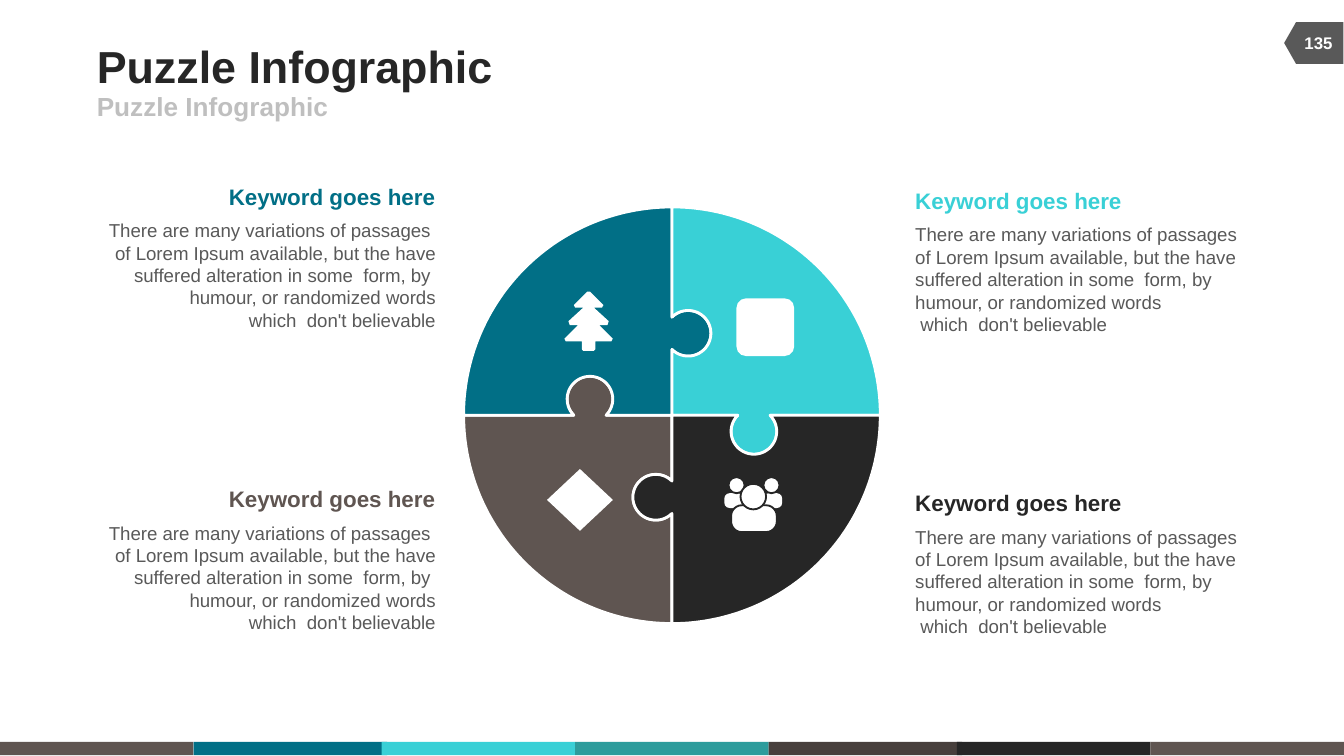
from copy import deepcopy
from dataclasses import dataclass
from math import atan2, cos, pi, sin, sqrt

from lxml.etree import SubElement
from pptx import Presentation
from pptx.dml.color import RGBColor
from pptx.enum.shapes import MSO_SHAPE as Shape
from pptx.enum.text import MSO_ANCHOR as Anchor, MSO_AUTO_SIZE as AutoSize, PP_ALIGN as Align
from pptx.oxml.ns import qn
from pptx.util import Inches, Pt

Point = tuple[float, float]


@dataclass(frozen=True)
class Theme:
    font: str = "Arial"
    white: str = "FFFFFF"
    ink: str = "262626"
    grey: str = "595959"
    pale: str = "BFBFBF"
    brown: str = "5F5551"
    teal: str = "016F86"
    cyan: str = "39D0D6"
    green: str = "2D9C9C"
    umber: str = "473F3C"
    title: float = 24
    subtitle: float = 14
    keyword: float = 12
    body: float = 10
    number: float = 9


@dataclass(frozen=True)
class Box:
    left: float
    top: float
    width: float
    height: float

    def lengths(self) -> list[int]:
        return [Inches(v) for v in (self.left, self.top, self.width, self.height)]


@dataclass(frozen=True)
class Piece:
    color: str
    turns: int  # quarter turns clockwise from the upper left
    text_left: float
    text_top: float
    align: Align


THEME = Theme()
CENTER = (5.0, 3.09)
RADIUS = 1.55
KNOB_RADIUS, KNOB_OUT, KNOB_UP = 0.17, 0.12, 0.61

# Back to front
PIECES = (
    Piece(THEME.brown, 3, 0.75, 3.61, Align.RIGHT),
    Piece(THEME.teal, 0, 0.75, 1.36, Align.RIGHT),
    Piece(THEME.cyan, 1, 6.81, 1.39, Align.LEFT),
    Piece(THEME.ink, 2, 6.81, 3.64, Align.LEFT),
)
STRIPES = (THEME.brown, THEME.teal, THEME.cyan, THEME.green, THEME.umber, THEME.ink, THEME.brown)
PASSAGE = ("of Lorem Ipsum available, but the have suffered alteration in some  form, by "
           "\vhumour, or randomized words\v which  don't believable")


def paint(shape, color: str, line: str | None = None, width: float = 1.5) -> None:
    shape.shadow.inherit = False
    shape.fill.solid()
    shape.fill.fore_color.rgb = RGBColor.from_string(color)
    if line:
        shape.line.color.rgb = RGBColor.from_string(line)
        shape.line.width = Pt(width)
    else:
        shape.line.fill.background()


def add_preset(shapes, kind: Shape, box: Box, color: str, line: str | None = None):
    shape = shapes.add_shape(kind, *box.lengths())
    paint(shape, color, line, 1)
    return shape


def add_outline(shapes, points: list[Point], color: str, line: str | None = None) -> None:
    corners = [(Inches(x), Inches(y)) for x, y in points]
    builder = shapes.build_freeform(*corners[0])
    builder.add_line_segments(corners[1:], close=True)
    paint(builder.convert_to_shape(), color, line)


def write(shape, text: str, size: float, color: str, bold: bool = False,
          align: Align = Align.LEFT, anchor: Anchor = Anchor.TOP, wrap: bool = False) -> None:
    frame = shape.text_frame
    frame.text = text
    frame.word_wrap = wrap
    frame.auto_size = AutoSize.NONE
    frame.vertical_anchor = anchor
    frame.margin_left = frame.margin_right = frame.margin_top = frame.margin_bottom = 0
    for paragraph in frame.paragraphs:
        paragraph.alignment = align
        for run in paragraph.runs:
            run.font.name = THEME.font
            run.font.size = Pt(size)
            run.font.bold = bold
            run.font.color.rgb = RGBColor.from_string(color)
        # Line breaks take the type size of the text around them
        for line_break in paragraph._p.findall(qn("a:br")):
            line_break.append(deepcopy(paragraph.runs[0]._r.rPr))


def place(shape, box: Box) -> None:
    shape.left, shape.top, shape.width, shape.height = box.lengths()


def arc(center: Point, radius: float, start: float, end: float, steps: int) -> list[Point]:
    angles = (start + (end - start) * i / steps for i in range(steps + 1))
    return [(center[0] + radius * cos(a), center[1] + radius * sin(a)) for a in angles]


def turn(points: list[Point], turns: int) -> list[Point]:
    for _ in range(turns):
        points = [(-y, x) for x, y in points]
    return points


def piece_outline(turns: int) -> list[Point]:
    """Quarter disc with a knob on one edge and the matching socket on the other."""
    neck = atan2(sqrt(KNOB_RADIUS ** 2 - KNOB_OUT ** 2), KNOB_OUT)
    knob = arc((KNOB_OUT, -KNOB_UP), KNOB_RADIUS, neck - pi, pi - neck, 40)
    socket = turn(knob, 3)[::-1]
    rim = arc((0, 0), RADIUS, pi, 1.5 * pi, 90)
    outline = turn(rim + knob + [(0, 0)] + socket, turns)
    return [(CENTER[0] + x, CENTER[1] + y) for x, y in outline]


def add_keyword(shapes, piece: Piece) -> None:
    right = piece.align == Align.RIGHT
    passage = shapes.add_textbox(*Box(piece.text_left, piece.text_top + 0.27, 2.49, 0.84).lengths())
    opening = "There are many variations of passages" + (" " if right else "")
    write(passage, f"{opening}\n{PASSAGE}", THEME.body, THEME.grey, align=piece.align, wrap=True)
    heading_left = piece.text_left + (0.94 if right else 0)
    heading = shapes.add_textbox(*Box(heading_left, piece.text_top, 1.55, 0.2).lengths())
    write(heading, "Keyword goes here", THEME.keyword, piece.color, True, piece.align)


def add_tree(shapes) -> None:
    middle = 4.38
    half = [(0.01, 2.17), (0.11, 2.27), (0.1, 2.29), (0.04, 2.29), (0.15, 2.39), (0.14, 2.42),
            (0.08, 2.42), (0.18, 2.52), (0.17, 2.54), (0.05, 2.54), (0.05, 2.6), (0.04, 2.61)]
    points = [(middle + x, y) for x, y in half] + [(middle - x, y) for x, y in half[::-1]]
    add_outline(shapes, points, THEME.white)


def add_people(shapes) -> None:
    for head_left, body_left in ((5.42, 5.39), (5.68, 5.68)):
        side = add_preset(shapes, Shape.ROUNDED_RECTANGLE, Box(body_left, 3.67, 0.14, 0.11),
                          THEME.white)
        side.adjustments[0] = 0.35
        add_preset(shapes, Shape.OVAL, Box(head_left, 3.55, 0.12, 0.12), THEME.white, THEME.ink)
    body = add_preset(shapes, Shape.ROUNDED_RECTANGLE, Box(5.44, 3.76, 0.34, 0.2),
                      THEME.white, THEME.ink)
    body.adjustments[0] = 0.4
    add_preset(shapes, Shape.OVAL, Box(5.51, 3.6, 0.19, 0.19), THEME.white, THEME.ink)


def main() -> None:
    deck = Presentation()
    deck.slide_width = Inches(10)
    deck.slide_height = deck.slide_width * 9 // 16
    slide = deck.slides.add_slide(deck.slide_layouts[1])
    shapes = slide.shapes

    # Footer stripes
    for i, color in enumerate(STRIPES):
        left = 4.28 * (i // 3) + (0, 1.44, 2.84)[i % 3]
        add_preset(shapes, Shape.RECTANGLE, Box(left, 5.52, 1.44, 0.1), color)

    # Page number
    tag = add_preset(shapes, Shape.FLOWCHART_OFFPAGE_CONNECTOR, Box(9.62, 0.1, 0.31, 0.44), THEME.grey)
    tag.rotation = 90
    number = shapes.add_textbox(*Box(9.6, 0.17, 0.42, 0.3).lengths())
    write(number, "135", THEME.number, THEME.white, True, Align.CENTER, Anchor.MIDDLE)

    # Title and subtitle
    title, subtitle = shapes.title, slide.placeholders[1]
    place(title, Box(0.72, 0.29, 6.17, 0.39))
    write(title, "Puzzle Infographic", THEME.title, THEME.ink, True, anchor=Anchor.MIDDLE)
    place(subtitle, Box(0.72, 0.68, 4.5, 0.22))
    write(subtitle, "Puzzle Infographic", THEME.subtitle, THEME.pale, True, anchor=Anchor.MIDDLE)
    lead = subtitle.text_frame.paragraphs[0]
    lead.space_before = Pt(0)
    props = lead._p.get_or_add_pPr()
    props.set("marL", "0")
    props.set("indent", "0")
    SubElement(props, qn("a:buNone"))

    # Puzzle and its texts
    for piece in PIECES:
        add_outline(shapes, piece_outline(piece.turns), piece.color, THEME.white)
    for piece in PIECES:
        add_keyword(shapes, piece)

    # Icons
    add_tree(shapes)
    add_preset(shapes, Shape.DIAMOND, Box(4.07, 3.49, 0.49, 0.46), THEME.white)
    add_preset(shapes, Shape.ROUNDED_RECTANGLE, Box(5.48, 2.22, 0.43, 0.43), THEME.white)
    add_people(shapes)

    deck.save("out.pptx")


if __name__ == "__main__":
    main()
